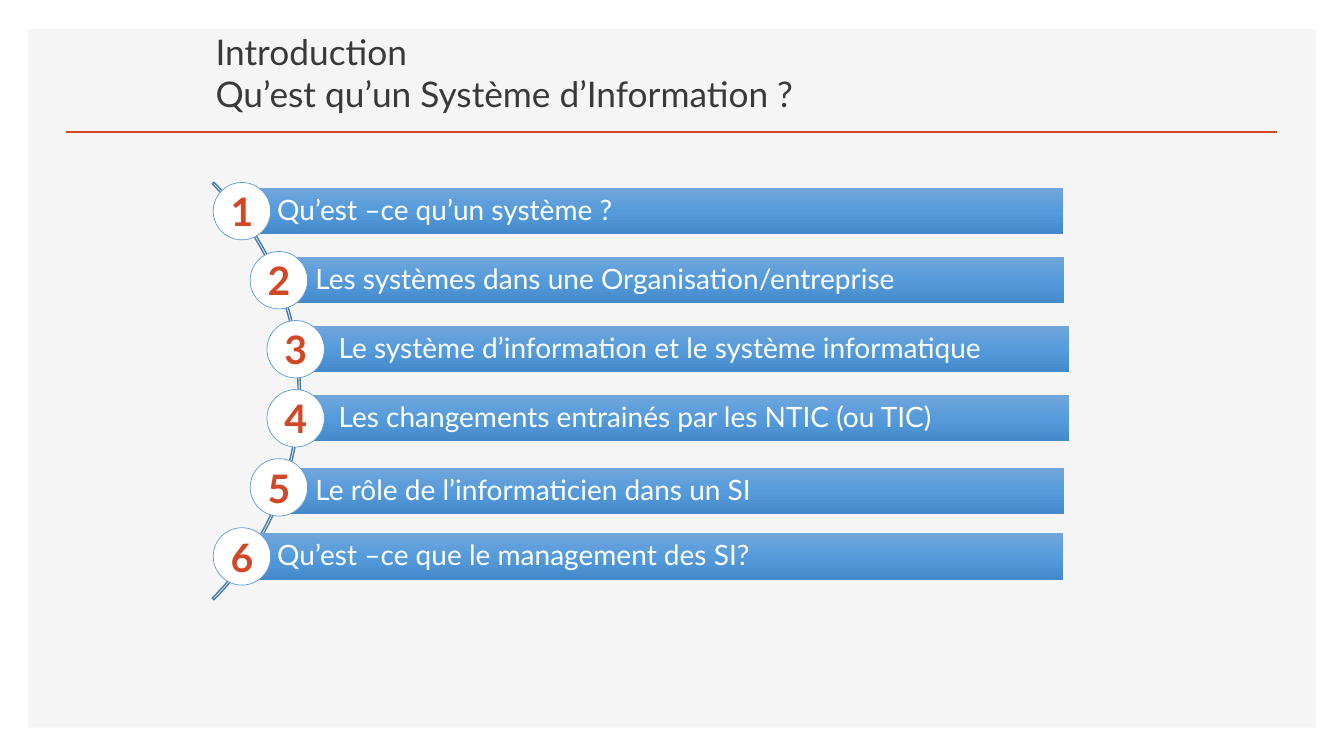
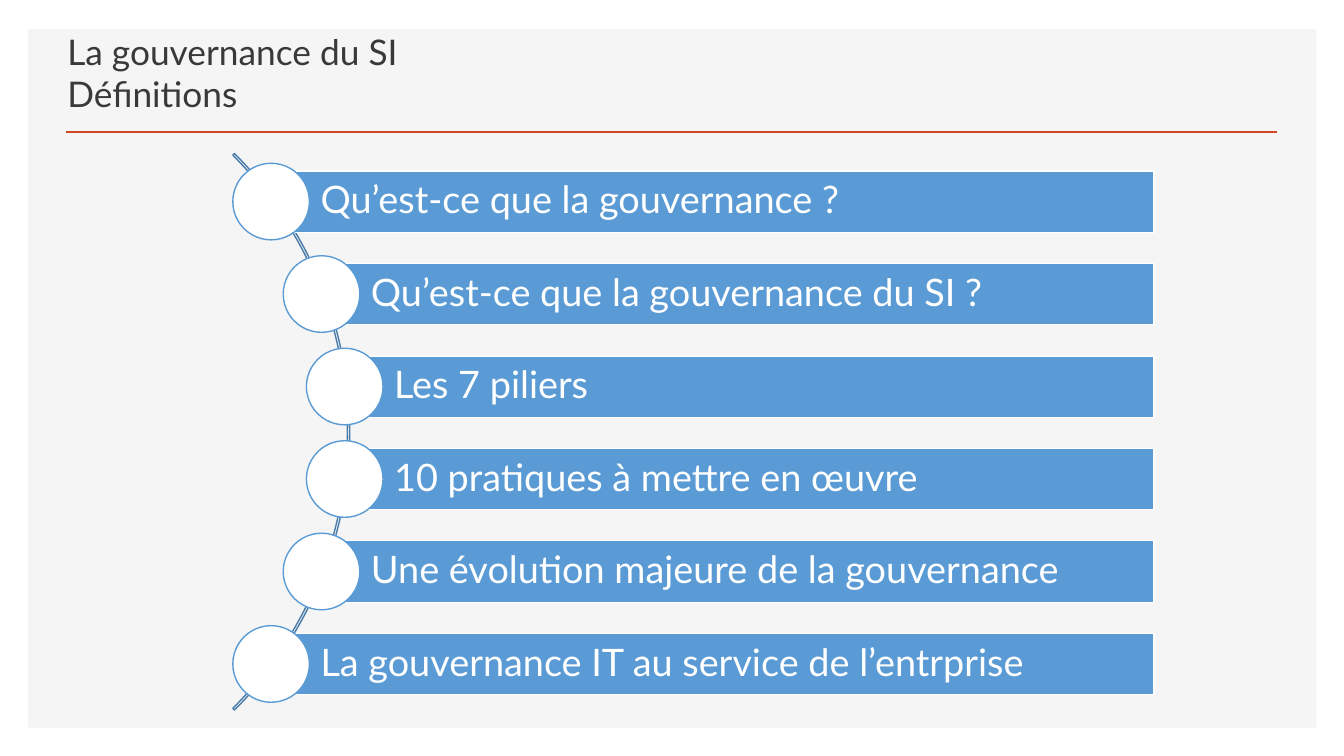
from copy import deepcopy

from pptx import Presentation
from pptx.dml.color import RGBColor
from pptx.enum.shapes import MSO_CONNECTOR, MSO_SHAPE
from pptx.enum.text import MSO_ANCHOR, PP_ALIGN
from pptx.oxml.ns import qn
from pptx.util import Inches, Pt

RECT, BALL, ARC = MSO_SHAPE.RECTANGLE, MSO_SHAPE.OVAL, MSO_SHAPE.BLOCK_ARC
LINE = MSO_CONNECTOR.STRAIGHT
LEFT, MID = PP_ALIGN.LEFT, PP_ALIGN.CENTER
CENTRE, LOW = MSO_ANCHOR.MIDDLE, MSO_ANCHOR.BOTTOM

WIDE, HIGH = Inches(13.33), Inches(7.5)
COLS, ROWS = 40, 30
FONT = "Lato"
WHITE, PANEL, INK = "FFFFFF", "F5F5F5", "3B3838"
RED, BLUE, STEEL = "D24726", "5B9BD5", "497CAB"
SHADE = ["71A6DB", "559BDB", "448ACA"]


def col(n):
    return round(n * WIDE / COLS)


def row(n):
    return round(n * HIGH / ROWS)


def tint(code):
    return RGBColor.from_string(code)


def blend(shape, codes):
    """Fill with evenly spaced colours, from top to bottom."""
    fill = shape.fill
    fill.gradient()
    fill.gradient_angle = 270
    stops = shape._element.spPr.find(".//" + qn("a:gsLst"))
    for _ in codes[2:]:
        stops.append(deepcopy(stops[0]))
    for i, (stop, code) in enumerate(zip(fill.gradient_stops, codes)):
        stop.color.rgb = tint(code)
        stop.position = i / (len(codes) - 1)


def write(shape, text, size=20, color=WHITE, bold=False, align=LEFT,
          anchor=CENTRE, pads=(0, 0, 0, 0), space=1.0, wrap=True):
    frame = shape.text_frame
    frame.word_wrap = wrap
    frame.vertical_anchor = anchor
    (frame.margin_left, frame.margin_top,
     frame.margin_right, frame.margin_bottom) = pads
    para = frame.paragraphs[0]
    para.text = text
    para.alignment = align
    para.line_spacing = space
    for run in para.runs:
        font = run.font
        font.name, font.size, font.bold = FONT, Pt(size), bold
        font.color.rgb = tint(color)


class Deck:
    def __init__(self):
        self.show = Presentation()
        self.show.slide_width, self.show.slide_height = WIDE, HIGH
        self.slide = None

    def shape(self, kind, x, y, w, h, fill=None, line=None, width=1):
        """Add a shape; a list of colours as fill makes a gradient."""
        item = self.slide.shapes.add_shape(kind, x, y, w, h)
        item.shadow.inherit = False
        if isinstance(fill, list):
            blend(item, fill)
        elif fill:
            item.fill.solid()
            item.fill.fore_color.rgb = tint(fill)
        else:
            item.fill.background()
        if line:
            item.line.color.rgb = tint(line)
            item.line.width = Pt(width)
        else:
            item.line.fill.background()
        return item

    def rule(self, x, y, end):
        line = self.slide.shapes.add_connector(
            LINE, col(x), row(y), col(end), row(y))
        line.line.color.rgb = tint(RED)
        line.line.width = Pt(2)
        props = line._element.spPr
        props.append(props.makeelement(qn("a:effectLst"), {}))

    def page(self, title, x):
        """Start a slide with its panel, title and red rule."""
        self.slide = self.show.slides.add_slide(self.show.slide_layouts[6])
        self.shape(RECT, col(0.84), row(1.16), col(38.34), row(27.72), PANEL)
        self.rule(1.98, 5.24, 38.01)
        box = self.slide.shapes.add_textbox(
            col(x), row(1.16), col(24.27 - x), row(3.6))
        write(box, title, size=25.2, color=INK, anchor=LOW,
              pads=(Inches(0.1), Inches(0.05)) * 2)

    def arc(self, x, y, size, thick):
        arc = self.shape(ARC, col(x), row(y), col(size), col(size), line=STEEL)
        for i, value in enumerate((189, 27, thick)):
            arc.adjustments[i] = value

    def bar(self, text, x, mid, end, high, size, pad, **look):
        bar = self.shape(RECT, col(x), row(mid - high / 2),
                         col(end - x), row(high), **look)
        edge = Inches(0.06)
        write(bar, text, size=size, space=0.9, pads=(col(pad), edge, edge, edge))

    def ball(self, x, mid, size, width, text=""):
        """Add a circle centred on a column and a row."""
        side = col(size)
        ball = self.shape(BALL, col(x) - side // 2, row(mid) - side // 2,
                          side, side, WHITE, BLUE, width)
        if text:
            write(ball, text, size=28, color=RED, bold=True, align=MID,
                  wrap=False)


def intro(deck):
    deck.page("Introduction\vQu’est qu’un Système d’Information ?", 6.12)
    deck.arc(-8.64, 3.8, 17.58, 0.004)
    items = ["Qu’est –ce qu’un système ?",
             "Les systèmes dans une Organisation/entreprise",
             "Le système d’information et le système informatique",
             "Les changements entrainés par les NTIC (ou TIC)",
             "Le rôle de l’informaticien dans un SI",
             "Qu’est –ce que le management des SI?"]
    lefts, ends, balls = (7.17, 8.31, 9), (31.65, 31.68, 31.83), (7.2, 8.3, 8.8)
    drops = {4: 0.16}
    for i, text in enumerate(items):
        step = min(i, len(items) - 1 - i)
        mid = 8.38 + 2.74 * i
        deck.bar(text, lefts[step], mid + drops.get(i, 0), ends[step],
                 1.84, 20, 1.08, fill=SHADE)
        deck.ball(balls[step], mid, 1.71, 0.5, str(i + 1))


def govern(deck):
    deck.page("La gouvernance du SI\vDéfinitions", 1.71)
    deck.arc(-13.02, 1.52, 23.43, 0.003)
    items = ["Qu’est-ce que la gouvernance ?",
             "Qu’est-ce que la gouvernance du SI ?",
             "Les 7 piliers",
             "10 pratiques à mettre en œuvre",
             "Une évolution majeure de la gouvernance",
             "La gouvernance IT au service de l’entrprise"]
    lefts = (8.07, 9.57, 10.26)
    for i, text in enumerate(items):
        x = lefts[min(i, len(items) - 1 - i)]
        mid = 8 + 3.67 * i
        deck.bar(text, x, mid, 34.35, 2.44, 27, 1.47, fill=BLUE, line=WHITE)
        deck.ball(x, mid, 2.28, 1)


def main():
    deck = Deck()
    intro(deck)
    govern(deck)
    deck.show.save("out.pptx")


if __name__ == "__main__":
    main()
